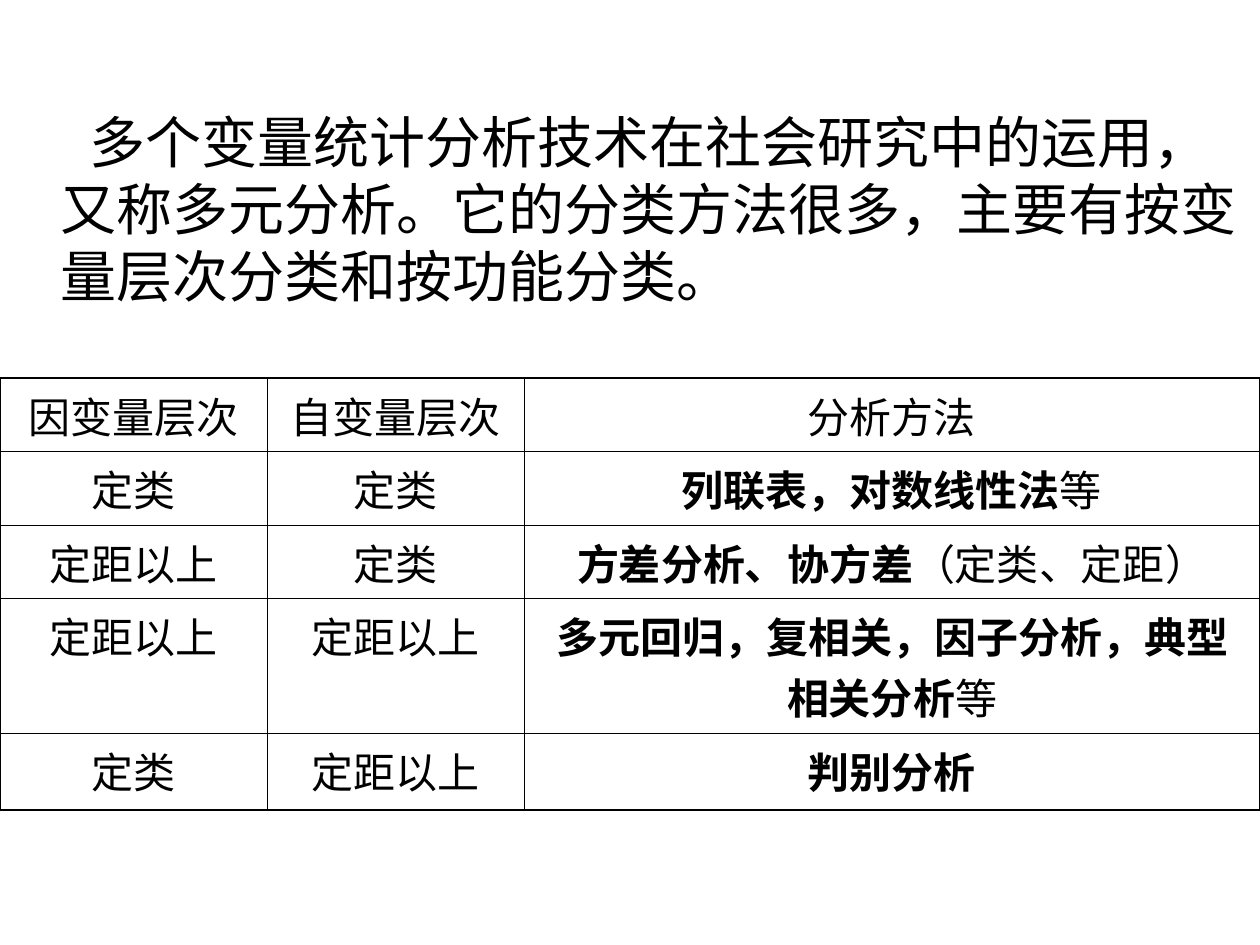
"""Build a slide that sorts multivariate methods by level of variable."""
from lxml.etree import SubElement
from pptx import Presentation
from pptx.dml.color import RGBColor
from pptx.enum.text import PP_ALIGN
from pptx.oxml.ns import qn
from pptx.util import Inches, Pt

THEME = dict(ink="000000", paper="FFFFFF", lead="Karla", cell="Noto Sans CJK SC",
             big=32, small=24, pitch=38.5, thin=0.45, thick=1.08)
WIDE, HIGH = 10, 7.5
INTRO = "多个变量统计分析技术在社会研究中的运用，又称多元分析。它的分类方法很多，主要有按变量层次分类和按功能分类。"
ROWS = [
    ("因变量层次", "自变量层次", ("", "分析方法")),
    ("定类", "定类", ("列联表，对数线性法", "等")),
    ("定距以上", "定类", ("方差分析、协方差", "（定类、定距）")),
    ("定距以上", "定距以上", ("多元回归，复相关，因子分析，典型相关分析", "等")),
    ("定类", "定距以上", ("判别分析", "")),
]
COLS = [2.12, 2.04, 5.84]
TALL = [0.58, 0.58, 0.58, 0.92, 0.61]


def put(para, text, font, size, bold=False, align=PP_ALIGN.LEFT):
    para.alignment = align
    run = para.add_run()
    run.text = text
    face = run.font
    face.size, face.bold, face.name = Pt(size), bold, font
    face.color.rgb = RGBColor.from_string(THEME["ink"])
    SubElement(run._r.get_or_add_rPr(), qn("a:ea"), typeface=font)


def edge(cell, side, width):
    line = SubElement(cell._tc.get_or_add_tcPr(), qn(f"a:ln{side}"), w=str(int(Pt(width))))
    fill = SubElement(line, qn("a:solidFill"))
    SubElement(fill, qn("a:srgbClr"), val=THEME["ink"])


def add_grid(slide):
    frame = slide.shapes.add_table(len(ROWS), len(COLS), 0, Inches(0.4 * HIGH),
                                   Inches(WIDE), Inches(sum(TALL)))
    grid = frame.table
    grid.first_row = grid.horz_banding = False
    for col, width in zip(grid.columns, COLS):
        col.width = Inches(width)
    for r, (row, tall) in enumerate(zip(ROWS, TALL)):
        grid.rows[r].height = Inches(tall)
        for c, item in enumerate(row):
            cell = grid.cell(r, c)
            rim = dict(L=c == 0, R=c == len(COLS) - 1, T=r == 0, B=r == len(ROWS) - 1)
            for side, outer in rim.items():
                edge(cell, side, THEME["thick" if outer else "thin"])
            cell.fill.solid()
            cell.fill.fore_color.rgb = RGBColor.from_string(THEME["paper"])
            strong, plain = item if isinstance(item, tuple) else ("", item)
            para = cell.text_frame.paragraphs[0]
            for text, bold in ((strong, True), (plain, False)):
                if text:
                    put(para, text, THEME["cell"], THEME["small"], bold, PP_ALIGN.CENTER)


def add_intro(slide):
    box = slide.shapes.add_textbox(0, Inches(0.8), Inches(WIDE), Inches(2))
    box.text_frame.word_wrap = True
    para = box.text_frame.paragraphs[0]
    para.line_spacing = Pt(THEME["pitch"])
    props = para._p.get_or_add_pPr()
    props.set("marL", str(Inches(0.38)))
    props.set("indent", str(Inches(0.23)))
    put(para, INTRO, THEME["lead"], THEME["big"])


def main():
    deck = Presentation()
    deck.slide_width, deck.slide_height = Inches(WIDE), Inches(HIGH)
    slide = deck.slides.add_slide(deck.slide_layouts[6])
    add_grid(slide)
    add_intro(slide)
    deck.save("out.pptx")


if __name__ == "__main__":
    main()
